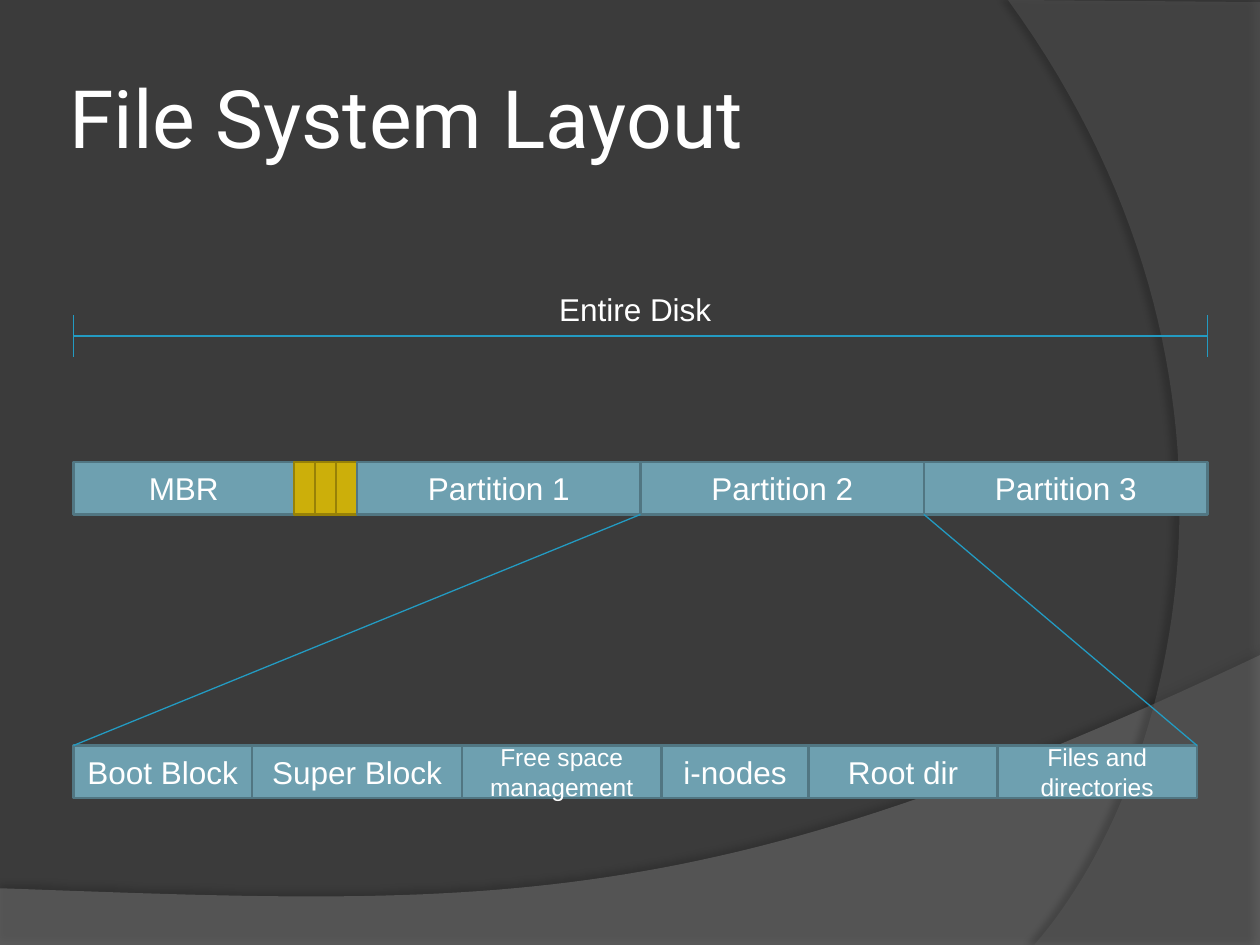
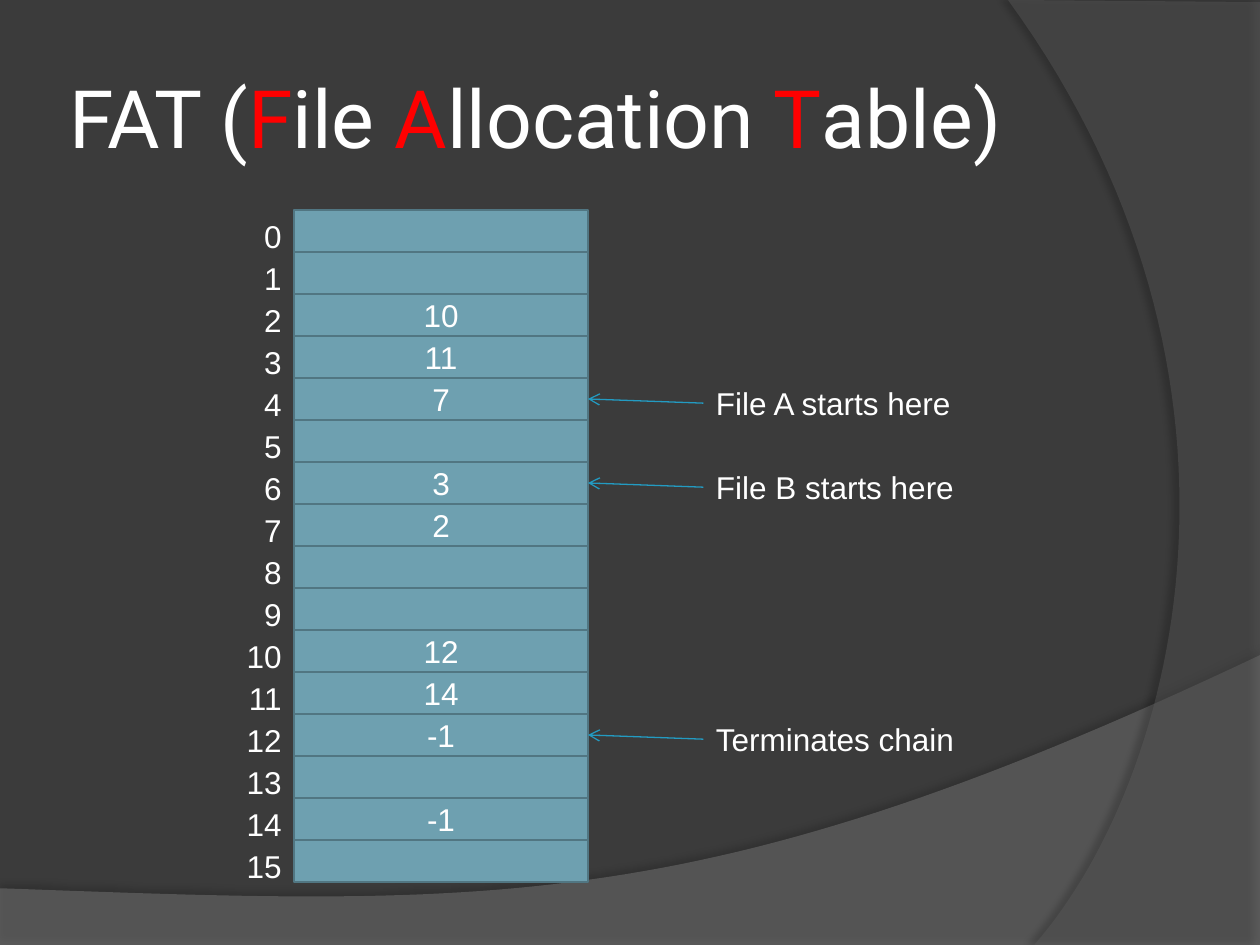
from dataclasses import dataclass
from itertools import accumulate
from typing import NamedTuple

from lxml.etree import SubElement
from pptx import Presentation
from pptx.dml.color import RGBColor
from pptx.enum.shapes import MSO_CONNECTOR, MSO_SHAPE
from pptx.enum.text import MSO_ANCHOR, PP_ALIGN
from pptx.oxml.ns import qn
from pptx.util import Inches, Pt

COLUMNS, ROWS = 120, 90  # twelve grid units to the inch


@dataclass(frozen=True)
class Theme:
    background: str = "3B3B3B"
    text: str = "FFFFFF"
    accent: str = "FF0000"
    connector: str = "239BC2"
    block: tuple[str, str] = ("6EA0B0", "517682")
    entry: tuple[str, str] = ("CCAF0A", "978107")
    title_font: str = "Roboto"
    body_font: str = "Arial"
    title_size: int = 46
    body_size: int = 18
    small_size: int = 14
    block_line: float = 1.5
    connector_line: float = 0.75


THEME = Theme()


class Point(NamedTuple):
    column: float
    row: float


class Box(NamedTuple):
    column: float
    row: float
    width: float
    height: float


class Run(NamedTuple):
    text: str
    color: str = THEME.text


class Block(NamedTuple):
    width: float
    label: str = ""
    size: int = THEME.body_size
    colors: tuple[str, str] = THEME.block


class Note(NamedTuple):
    index: int
    text: str


class Swoosh(NamedTuple):
    """A page-edge shape: corner points around one Bezier curve."""
    before: list[Point]
    curve: list[Point]
    color: str
    opacity: int
    shadow_opacity: int
    shadow_distance: float
    shadow_angle: int


SWOOSHES = [
    Swoosh([Point(0, ROWS), Point(COLUMNS, ROWS)],
           [Point(120, 62.4), Point(67.1, 87.5), Point(46.9, 86.3), Point(0, 84.6)],
           "7F7F7F", 45, 35, 3.5, 270),
    Swoosh([Point(COLUMNS, 0.2), Point(COLUMNS, ROWS)],
           [Point(98.5, 90), Point(112.2, 74.3), Point(122.2, 36), Point(96, 0)],
           "5E5E5E", 40, 45, 4, 180),
]

TITLE_BOX = Box(6, 3.6, 98, 15)
TEXT_HEIGHT = 4.8

# Disk layout
DISK_LEFT, DISK_WIDTH, BAR_HEIGHT = 7, 108, 5
DISK_ROW, PARTITION_ROW, SCALE_ROW = 44, 71, 32
TABLE_ENTRY = Block(2, colors=THEME.entry)
DISK_BLOCKS = [Block(21, "MBR"), *[TABLE_ENTRY] * 3,
               *(Block(27, f"Partition {number}") for number in (1, 2, 3))]
PARTITION_BLOCKS = [
    Block(17, "Boot Block"),
    Block(20, "Super Block"),
    Block(19, "Free space management", THEME.small_size),
    Block(14, "i-nodes"),
    Block(18, "Root dir"),
    Block(19, "Files and directories", THEME.small_size),
]

# File allocation table
FAT_LEFT, FAT_TOP, FAT_WIDTH, FAT_ROW = 28, 20, 28, 4
INDEX_WIDTH, NOTE_LEFT, NOTE_WIDTH = 6, 67, 29
FAT_LENGTH = 16
FAT_LINKS = {2: 10, 3: 11, 4: 7, 6: 3, 7: 2, 10: 12, 11: 14, 12: -1, 14: -1}
FAT_NOTES = [Note(4, "File A starts here"), Note(6, "File B starts here"),
             Note(12, "Terminates chain")]


def grid(units: float) -> int:
    return Inches(units / 12)


def place(box: Box) -> list[int]:
    return [grid(value) for value in box]


def write_text(shape, text: str | list[Run], *, size: float = THEME.body_size,
               font: str = THEME.body_font, align=PP_ALIGN.LEFT,
               anchor=MSO_ANCHOR.TOP, inset: float = 0.1) -> None:
    frame = shape.text_frame
    frame.word_wrap = True
    frame.vertical_anchor = anchor
    frame.margin_left = frame.margin_right = Inches(inset)
    frame.margin_top = frame.margin_bottom = Inches(0.05)
    paragraph = frame.paragraphs[0]
    paragraph.alignment = align
    for part in [Run(text)] if isinstance(text, str) else text:
        run = paragraph.add_run()
        run.text = part.text
        run.font.size = Pt(size)
        run.font.name = font
        run.font.color.rgb = RGBColor.from_string(part.color)


def add_text(slide, box: Box, text: str | list[Run], **text_format) -> None:
    write_text(slide.shapes.add_textbox(*place(box)), text, **text_format)


def add_block(slide, box: Box, block: Block) -> None:
    shape = slide.shapes.add_shape(MSO_SHAPE.RECTANGLE, *place(box))
    shape.shadow.inherit = False
    fill, line = block.colors
    shape.fill.solid()
    shape.fill.fore_color.rgb = RGBColor.from_string(fill)
    shape.line.color.rgb = RGBColor.from_string(line)
    shape.line.width = Pt(THEME.block_line)
    if block.label:
        write_text(shape, block.label, size=block.size,
                   align=PP_ALIGN.CENTER, anchor=MSO_ANCHOR.MIDDLE)


def add_bar(slide, row: float, blocks: list[Block]) -> list[float]:
    """Draw blocks side by side and return the column of every edge."""
    edges = list(accumulate((block.width for block in blocks), initial=DISK_LEFT))
    for column, block in zip(edges, blocks):
        add_block(slide, Box(column, row, block.width, BAR_HEIGHT), block)
    return edges


def add_line(slide, start: Point, end: Point, arrow: bool = False) -> None:
    connector = slide.shapes.add_connector(
        MSO_CONNECTOR.STRAIGHT, *(grid(value) for value in (*start, *end)))
    connector.line.color.rgb = RGBColor.from_string(THEME.connector)
    connector.line.width = Pt(THEME.connector_line)
    properties = connector._element.spPr
    if arrow:
        SubElement(properties.find(qn("a:ln")), qn("a:tailEnd"), type="arrow")
    SubElement(properties, qn("a:effectLst"))


def bezier(curve: list[Point], steps: int = 60) -> list[Point]:
    def mix(values: tuple[float, ...], t: float) -> float:
        a, b, c, d = values
        s = 1 - t
        return a * s**3 + 3 * b * s * s * t + 3 * c * s * t * t + d * t**3

    columns, rows = zip(*curve)
    return [Point(mix(columns, step / steps), mix(rows, step / steps))
            for step in range(steps + 1)]


def set_opacity(color_element, percent: int) -> None:
    SubElement(color_element, qn("a:alpha"), val=str(percent * 1000))


def add_swoosh(slide, swoosh: Swoosh) -> None:
    first, *others = [(grid(point.column), grid(point.row))
                      for point in swoosh.before + bezier(swoosh.curve)]
    builder = slide.shapes.build_freeform(*first)
    builder.add_line_segments(others, close=True)
    shape = builder.convert_to_shape()
    shape.fill.solid()
    shape.fill.fore_color.rgb = RGBColor.from_string(swoosh.color)
    shape.line.fill.background()
    shape.shadow.inherit = False
    properties = shape._element.spPr
    set_opacity(properties.find(f"{qn('a:solidFill')}/{qn('a:srgbClr')}"),
                swoosh.opacity)
    shadow = SubElement(properties.find(qn("a:effectLst")), qn("a:outerShdw"),
                        blurRad=str(Pt(4)), dist=str(Pt(swoosh.shadow_distance)),
                        dir=str(swoosh.shadow_angle * 60000), rotWithShape="0")
    set_opacity(SubElement(shadow, qn("a:srgbClr"), val="000000"),
                swoosh.shadow_opacity)


def add_page(presentation, title: str | list[Run]):
    slide = presentation.slides.add_slide(presentation.slide_layouts[6])
    slide.background.fill.solid()
    slide.background.fill.fore_color.rgb = RGBColor.from_string(THEME.background)
    for swoosh in SWOOSHES:
        add_swoosh(slide, swoosh)
    add_text(slide, TITLE_BOX, title, size=THEME.title_size,
             font=THEME.title_font, anchor=MSO_ANCHOR.MIDDLE, inset=0.05)
    return slide


def add_layout_slide(presentation) -> None:
    slide = add_page(presentation, "File System Layout")
    disk_edges = add_bar(slide, DISK_ROW, DISK_BLOCKS)

    ends = (DISK_LEFT, DISK_LEFT + DISK_WIDTH)
    for column in ends:
        add_line(slide, Point(column, SCALE_ROW - 2), Point(column, SCALE_ROW + 2))
    add_line(slide, *(Point(column, SCALE_ROW) for column in ends))
    add_text(slide, Box(36, 27, 49, TEXT_HEIGHT), "Entire Disk",
             align=PP_ALIGN.CENTER)

    partition_edges = add_bar(slide, PARTITION_ROW, PARTITION_BLOCKS)
    second_partition = disk_edges[-3:-1]
    for start, end in zip(second_partition, (partition_edges[0], partition_edges[-1])):
        add_line(slide, Point(start, DISK_ROW + BAR_HEIGHT), Point(end, PARTITION_ROW))


def add_fat_slide(presentation) -> None:
    slide = add_page(presentation, [
        Run("FAT ("), Run("F", THEME.accent), Run("ile "), Run("A", THEME.accent),
        Run("llocation "), Run("T", THEME.accent), Run("able)")])
    tops = [FAT_TOP + index * FAT_ROW for index in range(FAT_LENGTH)]
    for index, top in enumerate(tops):
        add_block(slide, Box(FAT_LEFT, top, FAT_WIDTH, FAT_ROW),
                  Block(FAT_WIDTH, str(FAT_LINKS.get(index, ""))))
    for index, top in enumerate(tops):
        add_text(slide, Box(FAT_LEFT - INDEX_WIDTH, top + 0.1, INDEX_WIDTH, TEXT_HEIGHT),
                 str(index), align=PP_ALIGN.RIGHT)
    for note in FAT_NOTES:
        top = tops[note.index]
        add_text(slide, Box(NOTE_LEFT, top, NOTE_WIDTH, TEXT_HEIGHT), note.text)
        add_line(slide, Point(NOTE_LEFT, top + TEXT_HEIGHT / 2),
                 Point(FAT_LEFT + FAT_WIDTH, top + FAT_ROW / 2), arrow=True)


def main() -> None:
    presentation = Presentation()
    presentation.slide_width = grid(COLUMNS)
    presentation.slide_height = grid(ROWS)
    add_layout_slide(presentation)
    add_fat_slide(presentation)
    presentation.save("out.pptx")


if __name__ == "__main__":
    main()
